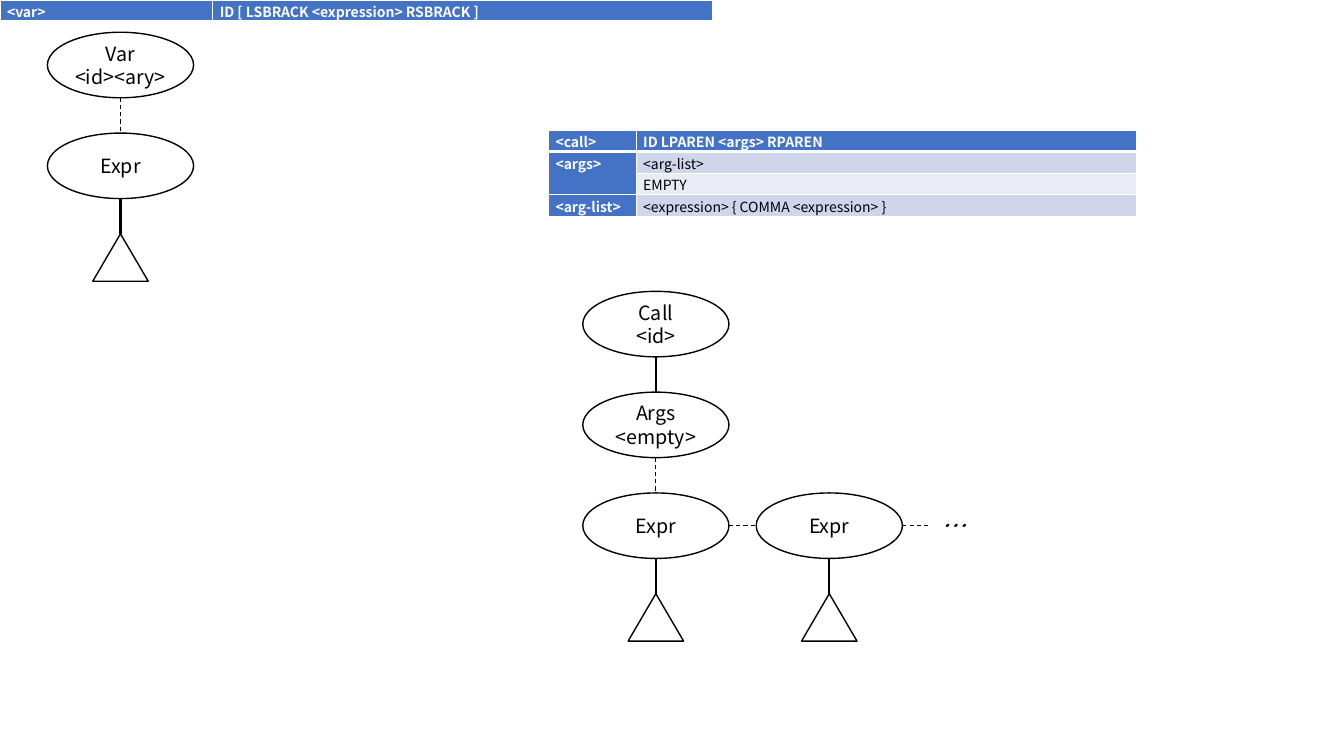
from dataclasses import dataclass

from lxml.etree import SubElement
from pptx import Presentation
from pptx.dml.color import RGBColor
from pptx.enum.dml import MSO_LINE
from pptx.enum.shapes import MSO_CONNECTOR, MSO_SHAPE
from pptx.enum.text import MSO_ANCHOR, PP_ALIGN
from pptx.oxml import parse_xml
from pptx.oxml.ns import nsdecls, qn
from pptx.util import Inches, Pt


@dataclass(frozen=True)
class Theme:
    font: str = "Noto Sans CJK KR"
    black: RGBColor = RGBColor(0x00, 0x00, 0x00)
    white: RGBColor = RGBColor(0xFF, 0xFF, 0xFF)
    blue: RGBColor = RGBColor(0x44, 0x72, 0xC4)
    dark_band: RGBColor = RGBColor(0xCF, 0xD5, 0xEA)
    light_band: RGBColor = RGBColor(0xE9, 0xEB, 0xF5)
    table_size: Pt = Pt(10)
    node_size: Pt = Pt(14)
    dots_size: Pt = Pt(18)


theme = Theme()

presentation = Presentation()
presentation.slide_width = Inches(13.33)
presentation.slide_height = Inches(7.5)
slide = presentation.slides.add_slide(presentation.slide_layouts[6])


def style_font(paragraph, size, color, bold=False, italic=False):
    font = paragraph.font
    font.name, font.size, font.bold, font.italic = theme.font, size, bold, italic
    font.color.rgb = color


def add_outlined(kind, left, top, width, height):
    shape = slide.shapes.add_shape(
        kind, Inches(left), Inches(top), Inches(width), Inches(height)
    )
    shape.shadow.inherit = False
    shape.fill.solid()
    shape.fill.fore_color.rgb = theme.white
    shape.line.color.rgb = theme.black
    shape.line.width = Pt(1)
    return shape


grammars = [
    (0, 0, [2.11, 4.96], [0.17], [("<var>", "ID [ LSBRACK <expression> RSBRACK ]")]),
    (5.44, 1.29, [0.87, 4.96], [0.16, 0.17, 0.18, 0.16], [
        ("<call>", "ID LPAREN <args> RPAREN"),
        ("<args>", "<arg-list>"),
        ("", "EMPTY"),
        ("<arg-list>", "<expression> { COMMA <expression> }"),
    ]),
]
for left, top, widths, heights, rules in grammars:
    table = slide.shapes.add_table(
        len(rules), 2, Inches(left), Inches(top), Inches(sum(widths)), Inches(sum(heights))
    ).table
    for column, width in zip(table.columns, widths):
        column.width = Inches(width)
    for row, height in zip(table.rows, heights):
        row.height = Inches(height)
    for row_index, rule in enumerate(rules):
        for column_index, text in enumerate(rule):
            cell = table.cell(row_index, column_index)
            heading = row_index == 0 or column_index == 0
            band = theme.dark_band if row_index % 2 else theme.light_band
            cell.margin_left = cell.margin_right = Inches(0.07)
            cell.margin_top = cell.margin_bottom = 0
            cell.fill.solid()
            cell.fill.fore_color.rgb = theme.blue if heading else band
            for position, side in enumerate("LRTB"):
                points = 3 if row_index == 0 and side == "B" else 1
                border = parse_xml(
                    f'<a:ln{side} {nsdecls("a")} w="{Pt(points)}"><a:solidFill>'
                    f'<a:srgbClr val="{theme.white}"/></a:solidFill></a:ln{side}>'
                )
                cell.fill._xPr.insert(position, border)
            cell.text = text
            paragraph = cell.text_frame.paragraphs[0]
            paragraph.line_spacing = 1.07
            paragraph.space_after = Pt(8)
            style_font(
                paragraph, theme.table_size, theme.white if heading else theme.black, heading
            )
        if not rule[0]:
            table.cell(row_index - 1, 0).merge(table.cell(row_index, 0))

node_width, node_height, level_step = 1.45, 0.65, 1.0
var_left, call_left, next_left, dots_left = 0.47, 5.78, 7.5, 9.23
var_top, call_top = 0.32, 2.89
args_top = call_top + level_step
list_top = args_top + level_step

nodes = [
    (var_left, var_top, "Var\n<id><ary>", True),
    (var_left, var_top + level_step, "Expr", False),
    (call_left, call_top, "Call\n<id>", False),
    (call_left, args_top, "Args\n<empty>", True),
    (call_left, list_top, "Expr", False),
    (next_left, list_top, "Expr", False),
]
links = []
for left, top, label, optional_child in nodes:
    ellipse = add_outlined(MSO_SHAPE.OVAL, left, top, node_width, node_height)
    frame = ellipse.text_frame
    frame.text = label
    frame.vertical_anchor = MSO_ANCHOR.MIDDLE
    frame.margin_left = frame.margin_right = frame.margin_top = frame.margin_bottom = 0
    for paragraph in frame.paragraphs:
        paragraph.alignment = PP_ALIGN.CENTER
        style_font(paragraph, theme.node_size, theme.black)
    center = left + node_width / 2
    links.append((center, top + node_height, center, top + level_step, optional_child))
    if label == "Expr":
        add_outlined(
            MSO_SHAPE.ISOSCELES_TRIANGLE, center - 0.275, top + level_step, 0.55, 0.47
        )

sibling_y = list_top + node_height / 2
for left, right in [(call_left, next_left), (next_left, dots_left)]:
    links.append((left + node_width, sibling_y, right, sibling_y, True))

for start_x, start_y, end_x, end_y, dashed in links:
    connector = slide.shapes.add_connector(
        MSO_CONNECTOR.STRAIGHT, Inches(start_x), Inches(start_y), Inches(end_x), Inches(end_y)
    )
    connector.line.color.rgb = theme.black
    connector.line.width = Pt(0.75 if dashed else 1.5)
    if dashed:
        connector.line.dash_style = MSO_LINE.DASH
    SubElement(connector._element.spPr, qn("a:effectLst"))

dots = slide.shapes.add_textbox(
    Inches(dots_left), Inches(list_top), Inches(0.45), Inches(node_height)
)
dots.text_frame.word_wrap = True
dots.text_frame.vertical_anchor = MSO_ANCHOR.MIDDLE
dots.text_frame.text = "…"
paragraph = dots.text_frame.paragraphs[0]
paragraph.alignment = PP_ALIGN.CENTER
style_font(paragraph, theme.dots_size, theme.black, italic=True)

presentation.save("out.pptx")
